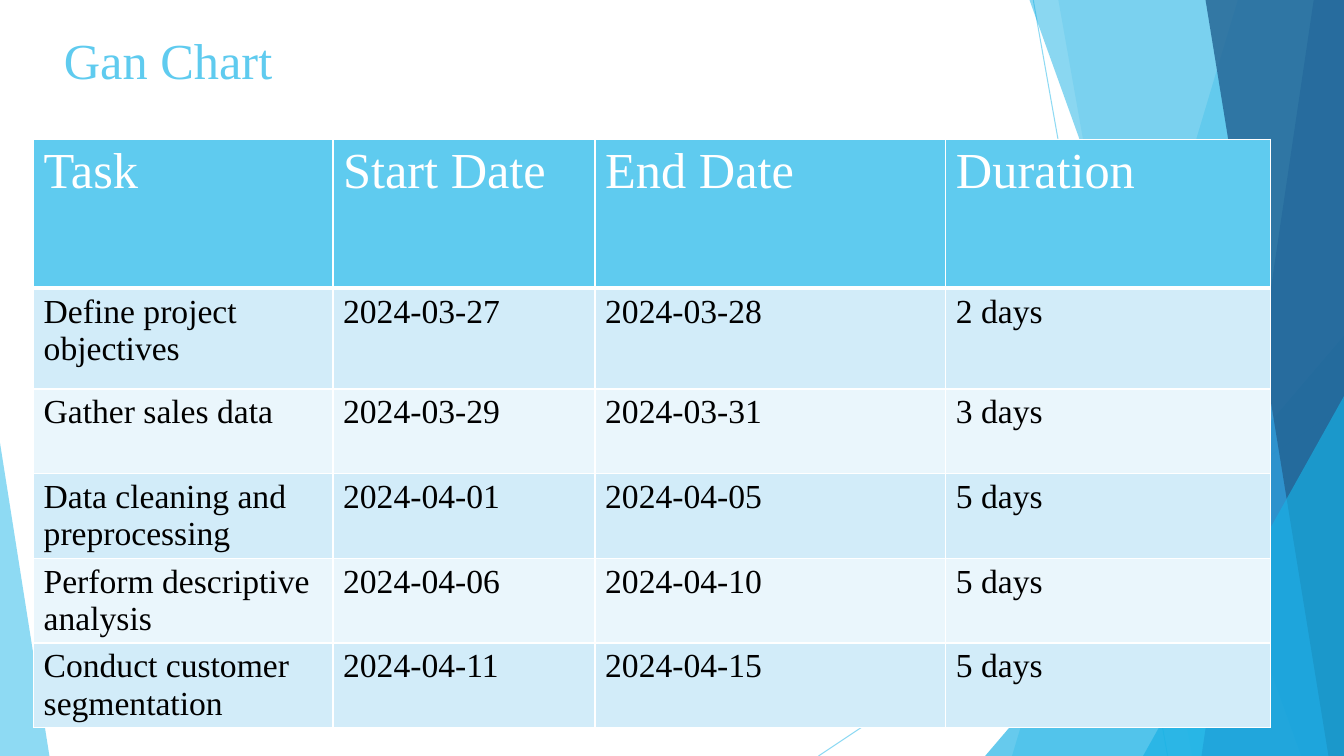
from dataclasses import dataclass

from pptx import Presentation
from pptx.dml.color import RGBColor
from pptx.enum.shapes import MSO_CONNECTOR, MSO_SHAPE
from pptx.enum.text import MSO_ANCHOR, MSO_AUTO_SIZE, PP_ALIGN
from pptx.oxml.ns import qn
from pptx.oxml.xmlchemy import OxmlElement
from pptx.util import Emu, Inches, Pt

STRAIGHT = MSO_CONNECTOR.STRAIGHT
TRIANGLE = MSO_SHAPE.ISOSCELES_TRIANGLE
TOP = MSO_ANCHOR.TOP
LEFT = PP_ALIGN.LEFT
NO_AUTOFIT = MSO_AUTO_SIZE.NONE

SLIDE_WIDTH, SLIDE_HEIGHT = Inches(13.333), Inches(7.5)
FONT = "Times New Roman"
SKY, AZURE, BLUE, NAVY = "5FCBEF", "17B0E4", "2E83C3", "226292"
WHITE, BLACK = "FFFFFF", "000000"
BANDS = ("D2ECF9", "EAF6FC")


@dataclass
class Ray:
    start: tuple[float, float]
    end: tuple[float, float]


@dataclass
class Slab:
    top_left: float
    bottom_left: float
    color: str
    opacity: int


@dataclass
class Wedge:
    left: float
    top: float
    width: float
    apex: float
    color: str
    opacity: int


@dataclass
class Task:
    name: str
    start: str
    end: str
    duration: str


RAYS = [Ray((76.88, 0), (86.88, 100)), Ray((100, 53.75), (60.9, 100))]
FACETS = [
    Slab(92.1, 75.3, SKY, 36),
    Slab(78.75, 88.7, SKY, 20),
    Wedge(73.3, 44.4, 26.7, 1, AZURE, 66),
    Slab(76.6, 96.8, AZURE, 50),
    Slab(97.75, 89.4, BLUE, 70),
    Slab(89.7, 98.85, NAVY, 80),
    Wedge(85.05, 52.4, 14.95, 1, AZURE, 66),
    Wedge(0, 58.55, 3.68, 0, SKY, 70),
]
HEADINGS = Task("Task", "Start Date", "End Date", "Duration")
TASKS = [
    Task("Define project objectives", "2024-03-27", "2024-03-28", "2 days"),
    Task("Gather sales data", "2024-03-29", "2024-03-31", "3 days"),
    Task("Data cleaning and preprocessing", "2024-04-01", "2024-04-05", "5 days"),
    Task("Perform descriptive analysis", "2024-04-06", "2024-04-10", "5 days"),
    Task("Conduct customer segmentation", "2024-04-11", "2024-04-15", "5 days"),
]
COLUMN_SHARES = (22.28, 19.5, 26.1, 24.15)
ROW_SHARES = (19.73, 13.33) + (11.2,) * 4


def across(share: float) -> Emu:
    return Emu(round(SLIDE_WIDTH * share / 100))


def down(share: float) -> Emu:
    return Emu(round(SLIDE_HEIGHT * share / 100))


def rgb(color: str) -> RGBColor:
    return RGBColor.from_string(color)


def write(frame, text: str, *, size: int, color: str) -> None:
    paragraph = frame.paragraphs[0]
    paragraph.alignment = LEFT
    run = paragraph.add_run()
    run.text = text
    run.font.name = FONT
    run.font.size = Pt(size)
    run.font.color.rgb = rgb(color)


def set_opacity(shape, opacity: int) -> None:
    for color in shape.element.iter(qn("a:srgbClr")):
        alpha = OxmlElement("a:alpha")
        alpha.set("val", str(opacity * 1000))
        color.append(alpha)


def draw_ray(shapes, ray: Ray) -> None:
    (x1, y1), (x2, y2) = ray.start, ray.end
    line = shapes.add_connector(STRAIGHT, across(x1), down(y1), across(x2), down(y2))
    line.line.color.rgb = rgb(SKY)
    line.line.width = Pt(0.75)
    set_opacity(line, 70)
    line.element.spPr.append(OxmlElement("a:effectLst"))


def draw_facet(shapes, facet: Slab | Wedge) -> None:
    if isinstance(facet, Slab):
        outline = shapes.build_freeform(across(facet.top_left), 0)
        corners = [(100, 0), (100, 100), (facet.bottom_left, 100)]
        outline.add_line_segments([(across(x), down(y)) for x, y in corners])
        shape = outline.convert_to_shape()
    else:
        shape = shapes.add_shape(
            TRIANGLE, across(facet.left), down(facet.top),
            across(facet.width), down(100 - facet.top))
        shape.adjustments[0] = facet.apex
    shape.shadow.inherit = False
    shape.fill.solid()
    shape.fill.fore_color.rgb = rgb(facet.color)
    shape.line.fill.background()
    set_opacity(shape, facet.opacity)


def add_border(cell, side: str, width: float) -> None:
    border = OxmlElement(f"a:{side}")
    border.set("w", str(Pt(width)))
    fill = OxmlElement("a:solidFill")
    color = OxmlElement("a:srgbClr")
    color.set("val", WHITE)
    fill.append(color)
    border.append(fill)
    cell._tc.get_or_add_tcPr().append(border)


def fill_cell(cell, text: str, row: int) -> None:
    heading = row == 0
    widths = {"lnL": 1, "lnR": 1, "lnT": 3 if row == 1 else 1, "lnB": 3 if heading else 1}
    for side, width in widths.items():
        add_border(cell, side, width)
    cell.fill.solid()
    cell.fill.fore_color.rgb = rgb(SKY if heading else BANDS[(row - 1) % 2])
    write(cell.text_frame, text, size=36 if heading else 24, color=WHITE if heading else BLACK)


def draw_schedule(shapes) -> None:
    entries = [HEADINGS, *TASKS]
    schedule = shapes.add_table(
        len(entries), len(COLUMN_SHARES), across(2.5), down(18.4),
        across(sum(COLUMN_SHARES)), down(sum(ROW_SHARES))).table
    for column, share in zip(schedule.columns, COLUMN_SHARES):
        column.width = across(share)
    for row, share in zip(schedule.rows, ROW_SHARES):
        row.height = down(share)
    for row, task in enumerate(entries):
        for column, text in enumerate((task.name, task.start, task.end, task.duration)):
            fill_cell(schedule.cell(row, column), text, row)


def place_title(title) -> None:
    title.left, title.top = across(4), down(3.2)
    title.width, title.height = across(40.1), down(13.6)
    frame = title.text_frame
    frame.auto_size = NO_AUTOFIT
    frame.vertical_anchor = TOP
    write(frame, "Gan Chart", size=36, color=SKY)


def main() -> None:
    deck = Presentation()
    deck.slide_width, deck.slide_height = SLIDE_WIDTH, SLIDE_HEIGHT
    slide = deck.slides.add_slide(deck.slide_layouts[5])
    for ray in RAYS:
        draw_ray(slide.shapes, ray)
    for facet in FACETS:
        draw_facet(slide.shapes, facet)
    place_title(slide.shapes.title)
    draw_schedule(slide.shapes)
    deck.save("out.pptx")


if __name__ == "__main__":
    main()
